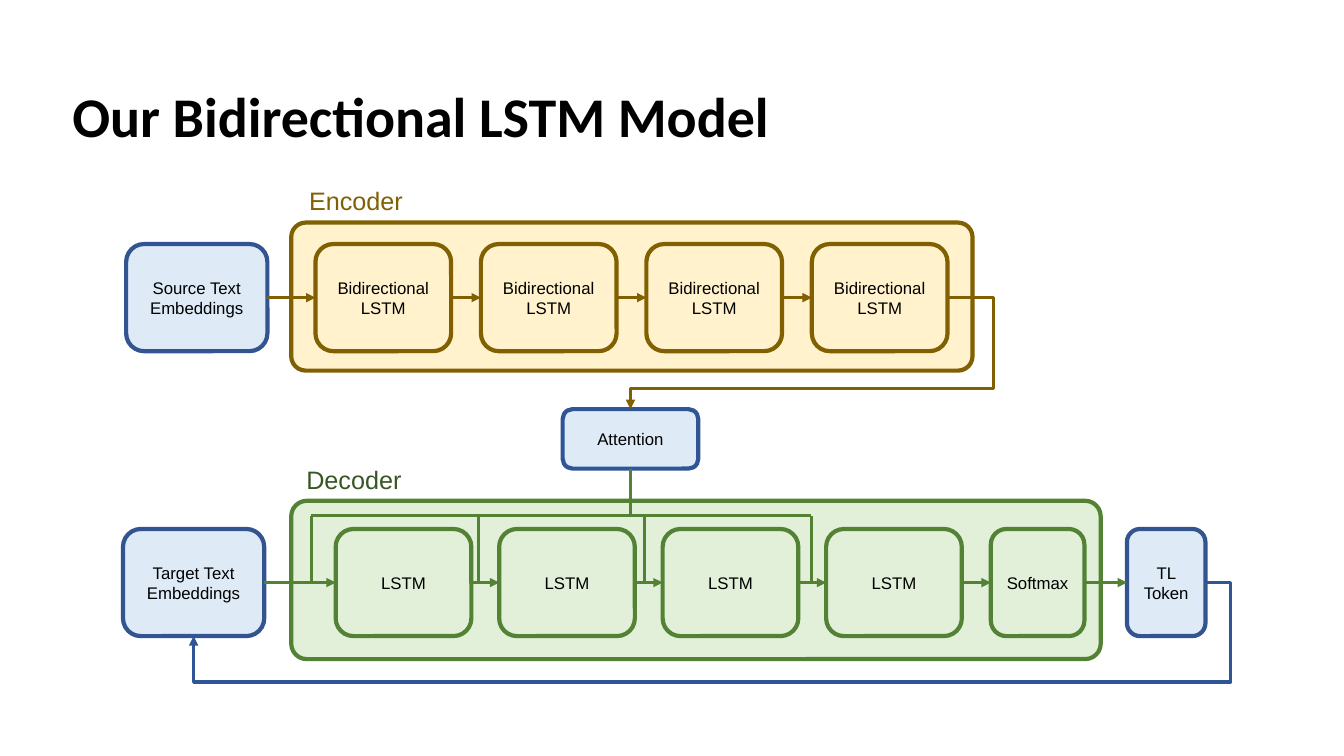
from dataclasses import dataclass

from lxml.etree import SubElement
from pptx import Presentation
from pptx.dml.color import RGBColor
from pptx.enum.shapes import MSO_CONNECTOR, MSO_SHAPE
from pptx.enum.text import MSO_ANCHOR, PP_ALIGN
from pptx.oxml.ns import qn
from pptx.util import Cm, Pt

TOP, LEFT, BOTTOM, RIGHT = range(4)


@dataclass(frozen=True)
class Theme:
    text: str = "000000"
    gold: str = "806000"
    gold_fill: str = "FFF2CC"
    green: str = "548235"
    green_fill: str = "E2F0D9"
    green_text: str = "385723"
    blue: str = "325491"
    loop_blue: str = "2F5597"
    blue_fill: str = "DEEBF7"
    title_font: str = "Calibri"
    body_font: str = "Arial"
    title_size: int = 40
    label_size: int = 18
    box_size: int = 12
    box_line: float = 3
    arrow_line: float = 2.25


class Diagram:
    def __init__(self, prs, theme):
        self.theme = theme
        self.slide = prs.slides.add_slide(prs.slide_layouts[5])
        self.shapes = self.slide.shapes

    def style_font(self, p, size, color, name):
        p.font.size = Pt(size)
        p.font.name = name
        p.font.color.rgb = RGBColor.from_string(color)

    def title(self, text, x, y, w, h):
        sp = self.shapes.title
        sp.left, sp.top, sp.width, sp.height = Cm(x), Cm(y), Cm(w), Cm(h)
        tf = sp.text_frame
        tf.text = text
        tf.vertical_anchor = MSO_ANCHOR.TOP
        p = tf.paragraphs[0]
        p.alignment = PP_ALIGN.LEFT
        p.line_spacing = 0.9
        p.font.bold = True
        self.style_font(p, self.theme.title_size, self.theme.text, self.theme.title_font)

    def label(self, text, x, y, color):
        sp = self.shapes.add_textbox(Cm(x), Cm(y), Cm(2.92), Cm(1.02))
        tf = sp.text_frame
        tf.word_wrap = False
        tf.text = text
        self.style_font(tf.paragraphs[0], self.theme.label_size, color, self.theme.body_font)

    def panel(self, x, y, w, h, fill, line, rounding=0.1667):
        sp = self.shapes.add_shape(MSO_SHAPE.ROUNDED_RECTANGLE, Cm(x), Cm(y), Cm(w), Cm(h))
        sp.adjustments[0] = rounding
        sp.shadow.inherit = False
        sp.fill.solid()
        sp.fill.fore_color.rgb = RGBColor.from_string(fill)
        sp.line.color.rgb = RGBColor.from_string(line)
        sp.line.width = Pt(self.theme.box_line)
        return sp

    def box(self, text, x, y, w, h, fill, line):
        sp = self.panel(x, y, w, h, fill, line)
        tf = sp.text_frame
        tf.word_wrap = True
        tf.vertical_anchor = MSO_ANCHOR.MIDDLE
        tf.text = text
        p = tf.paragraphs[0]
        p.alignment = PP_ALIGN.CENTER
        self.style_font(p, self.theme.box_size, self.theme.text, self.theme.body_font)
        return sp

    def line(self, color, x1=0, y1=0, x2=0, y2=0, begin=None, end=None, arrow=False,
             kind=MSO_CONNECTOR.STRAIGHT):
        cxn = self.shapes.add_connector(kind, Cm(x1), Cm(y1), Cm(x2), Cm(y2))
        if begin:
            cxn.begin_connect(*begin)
        if end:
            cxn.end_connect(*end)
        cxn.line.color.rgb = RGBColor.from_string(color)
        cxn.line.width = Pt(self.theme.arrow_line)
        sp_pr = cxn._element.spPr
        if arrow:
            SubElement(sp_pr.find(qn("a:ln")), qn("a:tailEnd"), type="triangle")
        SubElement(sp_pr, qn("a:effectLst"))
        return cxn

    def chain(self, boxes, color):
        for start, stop in zip(boxes, boxes[1:]):
            self.line(color, begin=(start, RIGHT), end=(stop, LEFT), arrow=True)

    def elbow(self, color, begin, end, bends):
        cxn = self.line(color, begin=begin, end=end, arrow=True, kind=MSO_CONNECTOR.ELBOW)
        geom = cxn._element.spPr.find(qn("a:prstGeom"))
        geom.set("prst", "bentConnector4")
        guides = geom.find(qn("a:avLst"))
        for i, bend in enumerate(bends, 1):
            SubElement(guides, qn("a:gd"), name=f"adj{i}", fmla=f"val {round(bend * 100000)}")


def main():
    prs = Presentation()
    prs.slide_width, prs.slide_height = Cm(33.87), Cm(19.05)
    t = Theme()
    d = Diagram(prs, t)
    d.title("Our Bidirectional LSTM Model", 1.57, 2.13, 22.33, 3.53)

    cell_w, cell_h = 3.42, 2.7
    encoder_y, decoder_y = 6.15, 13.33
    decoder_mid = decoder_y + cell_h / 2
    blue = (t.blue_fill, t.blue)
    gold = (t.gold_fill, t.gold)
    green = (t.green_fill, t.green)

    d.panel(7.34, 5.61, 17.17, 3.73, *gold, rounding=0.098)
    d.panel(7.34, 12.62, 20.4, 3.99, *green, rounding=0.098)
    d.label("Encoder", 7.54, 4.55, t.gold)
    d.label("Decoder", 7.47, 11.58, t.green_text)

    source = d.box("Source Text Embeddings", 3.18, encoder_y, 3.56, cell_h, *blue)
    encoder = [d.box("Bidirectional LSTM", 7.95 + 4.17 * i, encoder_y, cell_w, cell_h, *gold)
               for i in range(4)]
    attention = d.box("Attention", 14.18, 10.31, cell_w, 1.5, t.blue_fill, t.loop_blue)
    target = d.box("Target Text Embeddings", 3.1, decoder_y, 3.56, cell_h, *blue)
    decoder = [d.box("LSTM", 8.46 + 4.12 * i, decoder_y, cell_w, cell_h, *green)
               for i in range(4)]
    softmax = d.box("Softmax", 24.97, decoder_y, 2.36, cell_h, *green)
    token = d.box("TL Token", 28.4, decoder_y, 1.98, cell_h, *blue)

    d.chain([source, *encoder], t.gold)
    d.chain([target, *decoder, softmax, token], t.green)
    d.elbow(t.gold, (encoder[-1], RIGHT), (attention, TOP), (-0.144, 0.818))
    d.elbow(t.loop_blue, (token, RIGHT), (target, BOTTOM), (-0.025, 1.856))

    bus_y, stem_x = 13, 14.18 + cell_w / 2
    drops = [7.85 + 4.2 * i for i in range(4)]
    d.line(t.green, x2=stem_x, y2=bus_y, begin=(attention, BOTTOM))
    d.line(t.green, drops[0], bus_y, drops[-1], bus_y)
    for x in drops:
        d.line(t.green, x, bus_y, x, decoder_mid)

    prs.save("out.pptx")


if __name__ == "__main__":
    main()
